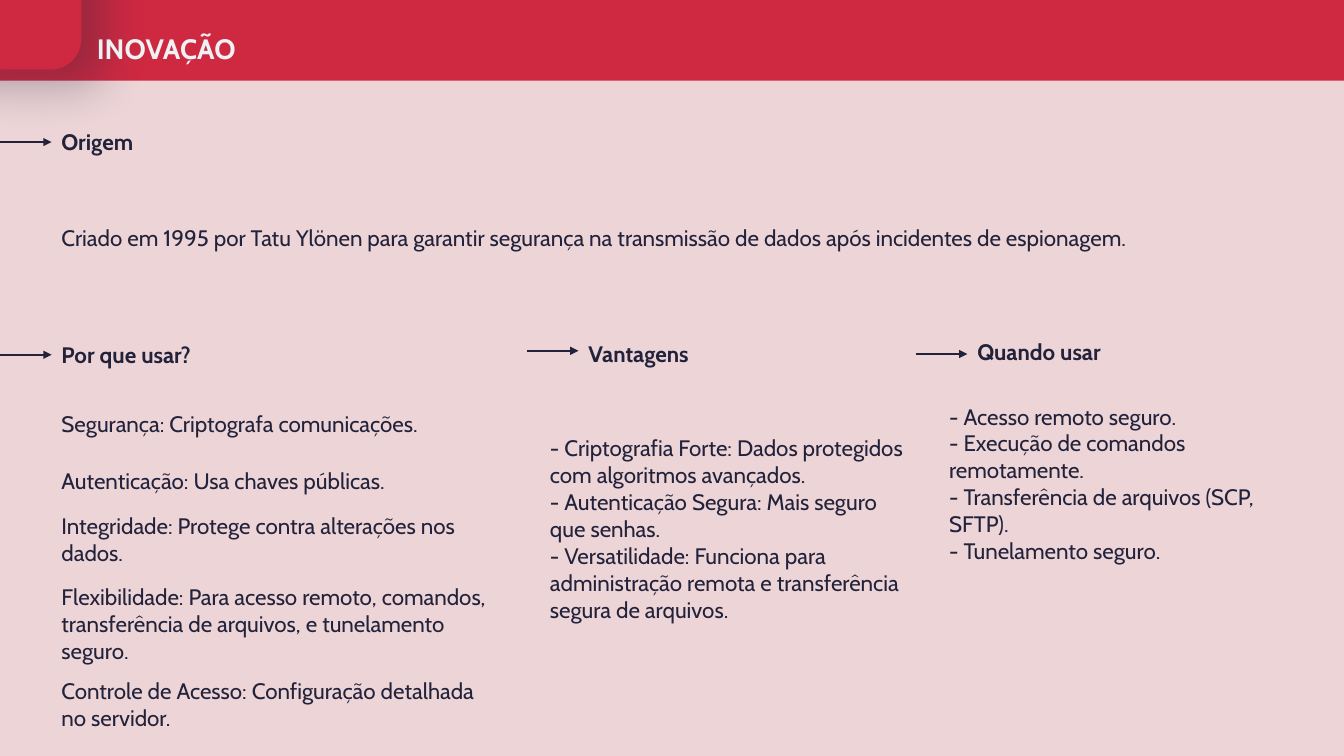
from pptx import Presentation
from pptx.dml.color import RGBColor
from pptx.enum.shapes import MSO_CONNECTOR as CONN, MSO_SHAPE as SHAPE
from pptx.enum.text import MSO_ANCHOR as ANCHOR, MSO_AUTO_SIZE as AUTO, PP_ALIGN as ALIGN
from pptx.oxml import parse_xml
from pptx.oxml.ns import nsdecls, qn
from pptx.util import Cm, Pt
from lxml.etree import SubElement

RED, PALE, WHITE, NAVY = "CF2942", "F2F2F2", "EDF2F4", "22223B"
MARGIN, LINE_H, ARROW_W, COL_W = 1.3, 1.4, 1.3, 11.23

HEADINGS = [
    ("Origem", MARGIN, 2.87, 3.81, 3.58),
    ("Por que usar?", MARGIN, 8.23, 5.08, 8.94),
    ("Vantagens", 14.58, 8.2, 4.45, 8.84),
    ("Quando usar", 24.38, 8.15, 5.18, 8.92),
]
BODIES = [
    (["Criado em 1995 por Tatu Ylönen para garantir segurança na transmissão "
      "de dados após incidentes de espionagem."], MARGIN, 5.28, 30.02),
    (["Segurança: Criptografa comunicações."], MARGIN, 9.98, COL_W),
    (["Autenticação: Usa chaves públicas."], MARGIN, 11.4, COL_W),
    (["Integridade: Protege contra alterações nos dados."], MARGIN, 12.88, COL_W),
    (["Flexibilidade: Para acesso remoto, comandos, transferência de arquivos, "
      "e tunelamento seguro."], MARGIN, 15.01, COL_W),
    (["Controle de Acesso: Configuração detalhada no servidor."], MARGIN, 17.04, COL_W),
    (["- Criptografia Forte: Dados protegidos com algoritmos avançados.",
      "- Autenticação Segura: Mais seguro que senhas.",
      "- Versatilidade: Funciona para administração remota e transferência "
      "segura de arquivos."], 13.61, 12.62, 9.4),
    (["- Acesso remoto seguro.",
      "- Execução de comandos remotamente.",
      "- Transferência de arquivos (SCP, SFTP).",
      "- Tunelamento seguro."], 23.67, 11.48, 8.33),
]


def paint(fmt, color):
    if hasattr(fmt, "solid"):
        fmt.solid()
        fmt = fmt.fore_color
    fmt.rgb = RGBColor.from_string(color)


def style(p, size, color, bold=False):
    p.font.name = "Cabin"
    p.font.size = Pt(size)
    p.font.bold = bold
    paint(p.font.color, color)


def add_block(s, kind, x, y, w, h, color):
    sp = s.shapes.add_shape(kind, Cm(x), Cm(y), Cm(w), Cm(h))
    paint(sp.fill, color)
    sp.line.fill.background()
    sp.shadow.inherit = False
    return sp


def set_opacity(sp, percent):
    clr = sp.element.spPr.find(qn("a:solidFill"))[0]
    SubElement(clr, qn("a:alpha"), val=str(percent * 1000))


def add_shadow(sp, color, opacity, blur, dist, angle):
    sp.element.spPr.find(qn("a:effectLst")).append(parse_xml(
        f'<a:outerShdw {nsdecls("a")} blurRad="{Pt(blur)}" dist="{Pt(dist)}" '
        f'dir="{angle * 60000}" algn="tl" rotWithShape="0">'
        f'<a:srgbClr val="{color}"><a:alpha val="{opacity * 1000}"/></a:srgbClr>'
        '</a:outerShdw>'))


def add_text(s, lines, x, y, w, bold=False):
    tf = s.shapes.add_textbox(Cm(x), Cm(y), Cm(w), Cm(LINE_H)).text_frame
    tf.word_wrap = True
    tf.vertical_anchor = ANCHOR.MIDDLE
    tf.text = "\n".join(lines)
    for p in tf.paragraphs:
        style(p, 16, NAVY, bold)


def add_arrow(s, x, y):
    ln = s.shapes.add_connector(CONN.STRAIGHT, Cm(x - ARROW_W), Cm(y), Cm(x), Cm(y))
    paint(ln.line.fill, NAVY)
    ln.line.width = Pt(1.5)
    SubElement(ln.line._get_or_add_ln(), qn("a:tailEnd"), type="triangle")
    SubElement(ln.element.spPr, qn("a:effectLst"))


def add_heading(s, text, x, y, w, arrow_y):
    add_arrow(s, x, arrow_y)
    add_text(s, [text], x, y, w, bold=True)


def set_title(s, text):
    sp = s.shapes.title
    sp.left, sp.top, sp.width, sp.height = Cm(2.03), Cm(0.66), Cm(4.32), Cm(1.12)
    sp.element.getparent().append(sp.element)
    tf = sp.text_frame
    tf.text = text
    tf.word_wrap = True
    tf.auto_size = AUTO.SHAPE_TO_FIT_TEXT
    tf.vertical_anchor = ANCHOR.TOP
    p = tf.paragraphs[0]
    p.alignment = ALIGN.CENTER
    style(p, 20, WHITE, bold=True)


def main():
    prs = Presentation()
    prs.slide_width, prs.slide_height = Cm(33.87), Cm(19.05)
    s = prs.slides.add_slide(prs.slide_layouts[5])
    paint(s.background.fill, RED)

    panel = add_block(s, SHAPE.RECTANGLE, -1.68, 2.03, 37.44, 18.64, PALE)
    set_opacity(panel, 85)
    tab = add_block(s, SHAPE.ROUNDED_RECTANGLE, -1.68, -1.45, 3.73, 3.2, RED)
    tab.adjustments[0] = 0.24
    add_shadow(tab, NAVY, opacity=30, blur=32, dist=21, angle=36)

    set_title(s, "INOVAÇÃO")
    for heading in HEADINGS:
        add_heading(s, *heading)
    for body in BODIES:
        add_text(s, *body)
    prs.save("out.pptx")


if __name__ == "__main__":
    main()
